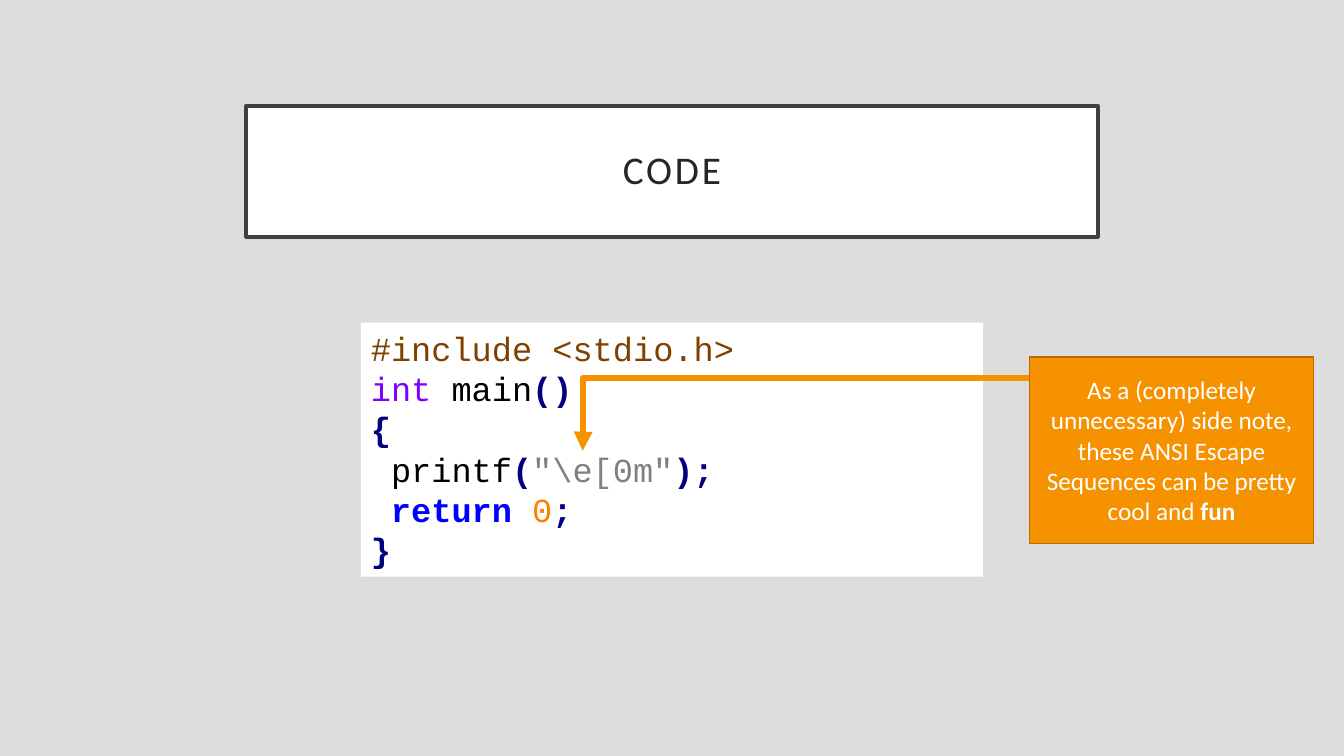
from typing import NamedTuple

import pptx
import pptx.dml.color
import pptx.enum.shapes
import pptx.enum.text
import pptx.oxml
import pptx.oxml.ns
import pptx.util

Inches = pptx.util.Inches
Pt = pptx.util.Pt
Align = pptx.enum.text.PP_ALIGN
Anchor = pptx.enum.text.MSO_ANCHOR

ORANGE = "F69200"
WHITE = "FFFFFF"
NAVY = "000080"
BLACK = "000000"


class Token(NamedTuple):
    text: str
    color: str
    bold: bool = False


CODE_LINES = [
    [Token("#include <stdio.h>", "804000")],
    [Token("int", "8000FF"), Token(" main", BLACK), Token("()", NAVY, True)],
    [Token("{", NAVY, True)],
    [Token(" printf", BLACK), Token("(", NAVY, True),
     Token('"\\e[0m"', "808080"), Token(");", NAVY, True)],
    [Token(" ", BLACK), Token("return ", "0000FF", True),
     Token("0", "FF8000"), Token(";", NAVY, True)],
    [Token("}", NAVY, True)],
]
NOTE = [
    Token("As a (completely unnecessary) side note, these ANSI Escape "
          "Sequences can be pretty cool and ", WHITE),
    Token("fun", WHITE, True),
]


def rgb(color: str) -> pptx.dml.color.RGBColor:
    return pptx.dml.color.RGBColor.from_string(color)


def paint(item, color: str) -> None:
    """Give a fill or a line format one solid colour."""
    fill = getattr(item, "fill", item)
    fill.solid()
    fill.fore_color.rgb = rgb(color)


def outline(shape, color: str, width: float) -> None:
    paint(shape.line, color)
    shape.line.width = Pt(width)


def place(shape, left: float, top: float, width: float, height: float) -> None:
    shape.left, shape.top = Inches(left), Inches(top)
    shape.width, shape.height = Inches(width), Inches(height)


def write(shape, lines: list[list[Token]], font: str, size: float,
          alignment: Align, anchor: Anchor) -> None:
    """Fill a shape with one paragraph per line of tokens."""
    frame = shape.text_frame
    frame.word_wrap = True
    frame.auto_size = pptx.enum.text.MSO_AUTO_SIZE.NONE
    frame.vertical_anchor = anchor
    for index, tokens in enumerate(lines):
        paragraph = frame.add_paragraph() if index else frame.paragraphs[0]
        paragraph.alignment = alignment
        paragraph.font.name = font
        paragraph.font.size = Pt(size)
        for token in tokens:
            run = paragraph.add_run()
            run.text = token.text
            run.font.bold = token.bold
            run.font.color.rgb = rgb(token.color)


presentation = pptx.Presentation()
presentation.slide_width = Inches(13.33)
presentation.slide_height = Inches(7.5)
slide = presentation.slides.add_slide(presentation.slide_layouts[5])
paint(slide.background.fill, "DDDDDD")

# Framed title
title = slide.shapes.title
place(title, 2.44, 1.05, 8.45, 1.3)
paint(title.fill, WHITE)
outline(title, "404040", 2.5)
write(title, [[Token("CODE", "262626")]], "Calibri", 28,
      Align.CENTER, Anchor.MIDDLE)
title_frame = title.text_frame
title_frame.margin_left = title_frame.margin_right = Inches(0.2)
title_frame.margin_top = title_frame.margin_bottom = Inches(0.2)
title_paragraph = title_frame.paragraphs[0]
title_paragraph.line_spacing = 0.9
title_paragraph.runs[0].font._element.set("spc", "200")

# Code listing
listing = slide.shapes.add_textbox(0, 0, 0, 0)
place(listing, 3.58, 3.2, 6.17, 2.52)
paint(listing.fill, WHITE)
write(listing, CODE_LINES, "Courier New", 24, Align.LEFT, Anchor.TOP)

# Side note
note = slide.shapes.add_shape(
    pptx.enum.shapes.MSO_SHAPE.RECTANGLE, 0, 0, 0, 0)
place(note, 10.21, 3.54, 2.82, 1.85)
note.shadow.inherit = False
paint(note.fill, ORANGE)
outline(note, "B66C00", 1)
write(note, [NOTE], "Calibri", 18, Align.CENTER, Anchor.MIDDLE)

# Elbow arrow from the note down to the escape sequence
arrow = slide.shapes.add_connector(
    pptx.enum.shapes.MSO_CONNECTOR.ELBOW,
    Inches(10.21), Inches(3.75), Inches(5.78), Inches(4.47))
outline(arrow, ORANGE, 4.5)
properties = arrow._element.spPr
line_properties = properties.find(pptx.oxml.ns.qn("a:ln"))
line_properties.append(pptx.oxml.parse_xml(
    f'<a:tailEnd {pptx.oxml.ns.nsdecls("a")} type="triangle"/>'))
properties.append(pptx.oxml.parse_xml(
    f'<a:effectLst {pptx.oxml.ns.nsdecls("a")}/>'))
adjustments = properties.find(pptx.oxml.ns.qn("a:prstGeom")).get_or_add_avLst()
adjustments.append(pptx.oxml.parse_xml(
    f'<a:gd {pptx.oxml.ns.nsdecls("a")} name="adj1" fmla="val 99900"/>'))

presentation.save("out.pptx")
